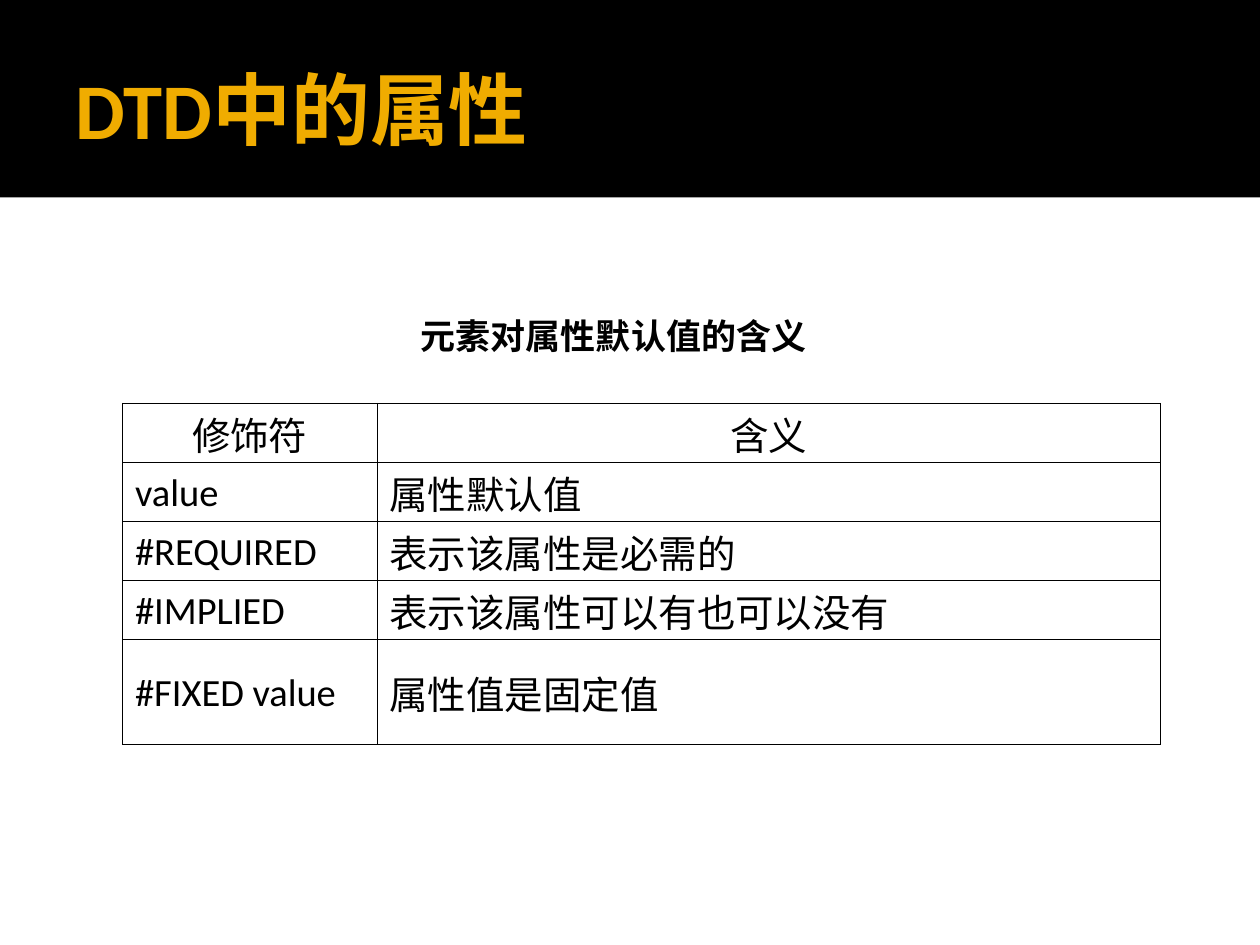
from lxml import etree
from pptx import Presentation
from pptx.dml.color import RGBColor
from pptx.enum.shapes import MSO_SHAPE
from pptx.enum.text import MSO_ANCHOR, PP_ALIGN
from pptx.oxml.ns import qn
from pptx.util import Cm, Pt

RECTANGLE = MSO_SHAPE.RECTANGLE
TOP, MIDDLE = MSO_ANCHOR.TOP, MSO_ANCHOR.MIDDLE
LEFT, CENTER = PP_ALIGN.LEFT, PP_ALIGN.CENTER

# Content
TITLE = "DTD中的属性"
CAPTION = "元素对属性默认值的含义"
ROWS = [
    ("修饰符", "含义"),
    ("value", "属性默认值"),
    ("#REQUIRED", "表示该属性是必需的"),
    ("#IMPLIED", "表示该属性可以有也可以没有"),
    ("#FIXED value", "属性值是固定值"),
]

# Style and measures (centimetres)
COLORS = {"band": "000000", "title": "F0AC00", "text": "000000", "border": "000000"}
LATIN_FONT, CHINESE_FONT = "Calibri", "Noto Sans CJK SC"
SLIDE_WIDTH, SLIDE_HEIGHT, BAND_HEIGHT = 25.4, 19.05, 3.98
TABLE_LEFT, TABLE_TOP = 2.47, 8.13
COLUMN_WIDTHS = [5.13, 15.8]
ROW_HEIGHTS = [1.19] * 4 + [2.11]
BORDER_WIDTH = Pt(0.45)


def color(name):
    return RGBColor.from_string(COLORS[name])


def write(paragraph, text, size, color_name, bold=False, align=LEFT, font=LATIN_FONT):
    paragraph.alignment = align
    run = paragraph.add_run()
    run.text = text
    run.font.size = Pt(size)
    run.font.bold = bold
    run.font.color.rgb = color(color_name)
    run.font.name = font
    east_asian = etree.SubElement(run.font._element, qn("a:ea"))
    east_asian.set("typeface", CHINESE_FONT)


def add_text(slide, box, anchor, text, **style):
    frame = slide.shapes.add_textbox(*map(Cm, box)).text_frame
    frame.word_wrap = True
    frame.vertical_anchor = anchor
    write(frame.paragraphs[0], text, **style)


def add_borders(cell):
    properties = cell._tc.get_or_add_tcPr()
    for side in ("lnL", "lnR", "lnT", "lnB"):
        line = etree.SubElement(properties, qn(f"a:{side}"), w=str(BORDER_WIDTH))
        fill = etree.SubElement(line, qn("a:solidFill"))
        etree.SubElement(fill, qn("a:srgbClr"), val=COLORS["border"])


def add_modifier_table(slide):
    table = slide.shapes.add_table(
        len(ROWS), len(COLUMN_WIDTHS), Cm(TABLE_LEFT), Cm(TABLE_TOP),
        Cm(sum(COLUMN_WIDTHS)), Cm(sum(ROW_HEIGHTS))).table
    table.first_row = table.horz_banding = False
    for column, width in zip(table.columns, COLUMN_WIDTHS):
        column.width = Cm(width)
    for row, height in zip(table.rows, ROW_HEIGHTS):
        row.height = Cm(height)
    for row_index, texts in enumerate(ROWS):
        for column_index, text in enumerate(texts):
            cell = table.cell(row_index, column_index)
            add_borders(cell)
            cell.fill.background()
            cell.vertical_anchor = MIDDLE
            # Small margins keep the tall Chinese lines inside the rows
            cell.margin_top, cell.margin_bottom = Cm(0.05), Cm(0)
            write(cell.text_frame.paragraphs[0], text, 22, "text",
                  align=LEFT if row_index else CENTER)


def main():
    presentation = Presentation()
    presentation.slide_width = Cm(SLIDE_WIDTH)
    presentation.slide_height = Cm(SLIDE_HEIGHT)
    slide = presentation.slides.add_slide(presentation.slide_layouts[6])

    # Title band
    band = slide.shapes.add_shape(RECTANGLE, 0, 0, Cm(SLIDE_WIDTH), Cm(BAND_HEIGHT))
    band.shadow.inherit = False
    band.fill.solid()
    band.fill.fore_color.rgb = color("band")
    band.line.fill.background()
    add_text(slide, (1.27, 0.43, 22.86, 3.48), MIDDLE, TITLE,
             size=45, color_name="title", bold=True)

    # Caption and table
    add_text(slide, (5.31, 6.22, 14.12, 1.12), TOP, CAPTION, size=20,
             color_name="text", bold=True, align=CENTER, font=CHINESE_FONT)
    add_modifier_table(slide)
    presentation.save("out.pptx")


if __name__ == "__main__":
    main()
